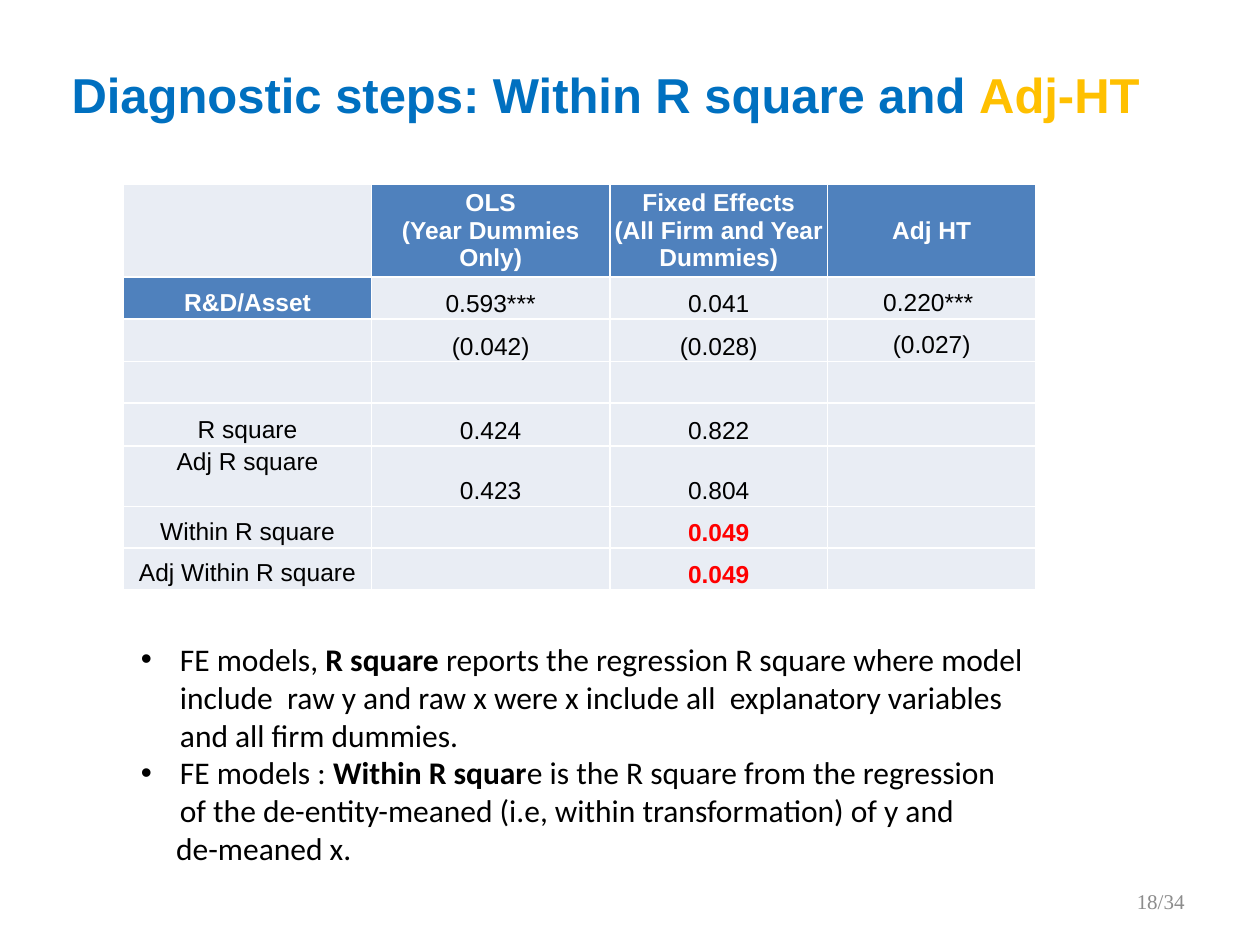
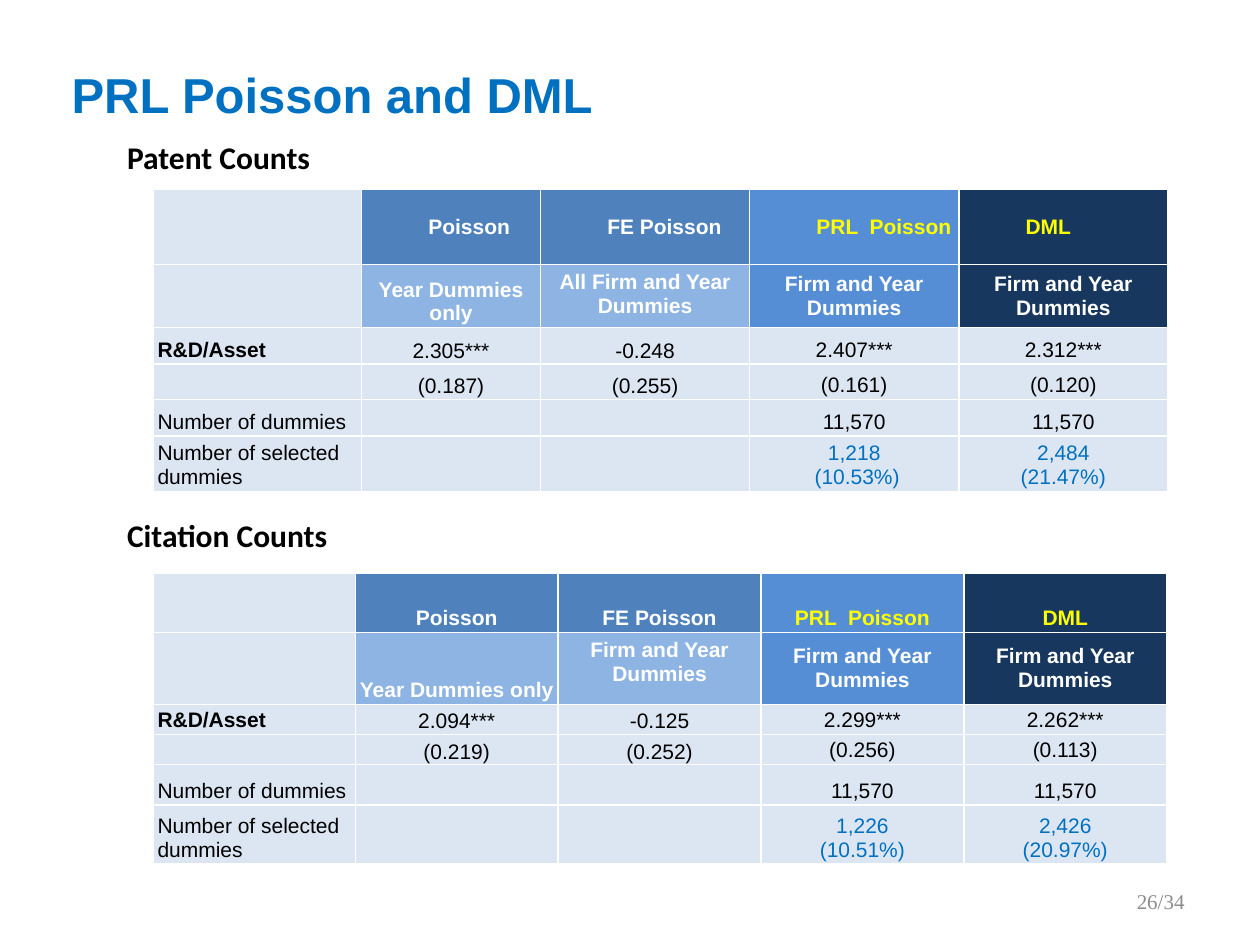
"""Build two slides of regression results with tables of R square, Poisson and DML estimates."""
from lxml.etree import SubElement
from pptx import Presentation
from pptx.dml.color import RGBColor
from pptx.enum.text import MSO_ANCHOR, PP_ALIGN
from pptx.oxml.ns import qn
from pptx.util import Inches, Pt

WHITE, BLACK, RED, YELLOW = "FFFFFF", "000000", "FF0000", "FFFF00"
BLUE, GOLD, GREY = "0070C0", "FFC000", "8C8C8C"
HEADER, SUBHEADER, PRL, DML = "4F81BD", "8EB4E3", "558ED5", "17375E"
PALE_GREY, PALE_BLUE = "E9EDF4", "DCE6F2"
TITLE = {"name": "Arial", "size": Pt(28), "bold": True, "color": BLUE}
PAGE = {"name": "Times New Roman", "size": Pt(12), "color": GREY}
BODY = {"name": "Calibri", "size": Pt(18), "bold": False, "color": BLACK}
HEADING = {**BODY, "bold": True}


def write(frame, lines, style, alignment=PP_ALIGN.LEFT):
    """Fill a text frame with lines, each a list of (text, changed formats) runs."""
    for number, runs in enumerate(lines):
        paragraph = frame.paragraphs[0] if number == 0 else frame.add_paragraph()
        paragraph.alignment = alignment
        for text, changes in runs:
            run = paragraph.add_run()
            run.text = text
            for key, value in {**style, **changes}.items():
                if key == "color":
                    run.font.color.rgb = RGBColor.from_string(value)
                else:
                    setattr(run.font, key, value)


def add_text(slide, box, lines, style, anchor=MSO_ANCHOR.TOP, alignment=PP_ALIGN.LEFT):
    """Add a wrapping text box and return its frame."""
    frame = slide.shapes.add_textbox(*map(Inches, box)).text_frame
    frame.word_wrap = True
    frame.vertical_anchor = anchor
    write(frame, lines, style, alignment)
    return frame


deck = Presentation()
deck.slide_width, deck.slide_height = Inches(10), Inches(7.5)

pages = [
    ("18/34", [("Diagnostic steps: Within R square and ", {}), ("Adj-HT", {"color": GOLD})]),
    ("26/34", [("PRL Poisson and DML", {})]),
]
slides = []
for page, title in pages:
    slide = deck.slides.add_slide(deck.slide_layouts[6])
    add_text(slide, (0.47, 0.31, 9, 0.87), [title], TITLE, MSO_ANCHOR.MIDDLE)
    add_text(slide, (7.17, 6.95, 2.33, 0.4), [[(page, {})]], PAGE,
             MSO_ANCHOR.MIDDLE, PP_ALIGN.RIGHT)
    slides.append(slide)
diagnostics, counts = slides

bold = {"bold": True}
explanation = add_text(diagnostics, (1.02, 5.03, 7.24, 2.12), [
    [("FE models, ", {}), ("R square ", bold),
     ("reports the regression R square where model include  raw y and raw x were x "
      "include all  explanatory variables and all firm dummies.", {})],
    [("FE models : ", {}), ("Within R squar", bold),
     ("e is the R square from the regression of the de-entity-meaned "
      "(i.e, within transformation) of y and", {})],
    [("de-meaned x.", {})],
], BODY)
for paragraph, indent, bullet in zip(explanation.paragraphs, (0.31, 0.31, 0.28), "•• "):
    properties = paragraph._p.get_or_add_pPr()
    properties.set("marL", str(Inches(indent)))
    if bullet == "•":
        properties.set("indent", str(-Inches(indent)))
        SubElement(properties, qn("a:buFont"), typeface="Arial")
        SubElement(properties, qn("a:buChar"), char=bullet)

for heading, top, width in (("Patent Counts", 1.05, 1.72), ("Citation Counts", 4.05, 5.11)):
    add_text(counts, (0.91, top, width, 0.4), [[(heading, {})]], HEADING)

model_fills = {(0, 1): HEADER, (0, 2): HEADER, (1, 1): SUBHEADER, (1, 2): SUBHEADER}
model_fills.update({(row, 3): PRL for row in (0, 1)})
model_fills.update({(row, 4): DML for row in (0, 1)})
model_formats = {(row, column): {"color": color} for column in (3, 4)
                 for row, color in ((0, YELLOW), (5, BLUE))}
model_formats[2, 0] = bold
model_anchors = {(1, 2): MSO_ANCHOR.TOP, (1, 3): MSO_ANCHOR.MIDDLE, (1, 4): MSO_ANCHOR.MIDDLE}
models = ["", "Poisson", "FE Poisson", "PRL  Poisson", "DML"]
firm_year = "Firm and Year Dummies"
dummies = ["Number of dummies", "", "", "11,570", "11,570"]

results = [
    {"slide": diagnostics, "top": 1.18, "left": 0.98, "size": 14, "fill": PALE_GREY,
     "widths": [1.97, 1.89, 1.73, 1.65],
     "heights": [0.28, 0.7, 0.33, 0.34, 0.33, 0.34, 0.48, 0.33, 0.33],
     "fills": {**{(0, column): WHITE for column in range(4)},
               **{(1, column): HEADER for column in (1, 2, 3)}, (2, 0): HEADER},
     "formats": {(row, 2): {"color": RED, "bold": True} for row in (7, 8)},
     "anchors": {**{(1, column): MSO_ANCHOR.MIDDLE for column in (1, 2, 3)},
                 (6, 0): MSO_ANCHOR.TOP},
     "centred_from": 0, "indented": [],
     "rows": [
         ["", "", "", ""],
         ["", "OLS\n(Year Dummies Only)", "Fixed Effects\n(All Firm and Year Dummies)", "Adj HT"],
         ["R&D/Asset", "0.593***", "0.041", "0.220*** "],
         ["", "(0.042)", "(0.028)", "(0.027)"],
         ["", "", "", ""],
         ["R square", "0.424", "0.822", ""],
         ["Adj R square", "0.423", "0.804", ""],
         ["Within R square", "", "0.049", ""],
         ["Adj Within R square", "", "0.049", ""]]},
    {"slide": counts, "top": 1.5, "left": 1.22, "size": 12, "fill": PALE_BLUE,
     "widths": [1.65, 1.42, 1.66, 1.66, 1.66],
     "heights": [0.6, 0.47, 0.29, 0.28, 0.29, 0.41],
     "fills": model_fills, "formats": model_formats,
     "anchors": {**model_anchors, **{(0, column): MSO_ANCHOR.MIDDLE for column in range(1, 5)}},
     "centred_from": 1, "indented": [(0, column) for column in range(1, 5)],
     "rows": [
         models,
         ["", "Year Dummies only", "All Firm and Year Dummies", firm_year, firm_year],
         ["R&D/Asset", "2.305***", "-0.248", "2.407***", "2.312***"],
         ["", "(0.187)", "(0.255)", "(0.161)", "(0.120)"],
         dummies,
         ["Number of selected dummies", "", "", "1,218\n (10.53%)", "2,484\n(21.47%)"]]},
    {"slide": counts, "top": 4.55, "left": 1.22, "size": 12, "fill": PALE_BLUE,
     "widths": [1.6, 1.61, 1.61, 1.61, 1.61],
     "heights": [0.47, 0.57, 0.24, 0.24, 0.32, 0.47],
     "fills": model_fills, "formats": model_formats, "anchors": model_anchors,
     "centred_from": 1, "indented": [],
     "rows": [
         models,
         ["", "Year Dummies only", firm_year, firm_year, firm_year],
         ["R&D/Asset", "2.094***", "-0.125", "2.299***", "2.262***"],
         ["", "(0.219)", "(0.252)", "(0.256)", "(0.113)"],
         dummies,
         ["Number of selected dummies", "", "", "1,226\n(10.51%)", "2,426\n(20.97%)"]]},
]

for result in results:
    rows, widths, heights = result["rows"], result["widths"], result["heights"]
    box = (result["left"], result["top"], sum(widths), sum(heights))
    grid = result["slide"].shapes.add_table(len(rows), len(widths), *map(Inches, box)).table
    grid.first_row = grid.horz_banding = False
    for column, width in zip(grid.columns, widths):
        column.width = Inches(width)
    for line, height in zip(grid.rows, heights):
        line.height = Inches(height)
    for row, texts in enumerate(rows):
        for column, text in enumerate(texts):
            place = row, column
            cell = grid.cell(row, column)
            anchor = result["anchors"].get(place, MSO_ANCHOR.BOTTOM)
            side, edge = 0.03, 0.02
            if row >= 2 and column in (1, 2):
                side, edge = 0.02, 0.01
            if place == (1, 2) and anchor == MSO_ANCHOR.TOP:
                side, edge = 0.1, 0.05
            layout = {"vertical_anchor": anchor,
                      "margin_left": Inches(side), "margin_right": Inches(side),
                      "margin_top": Inches(edge), "margin_bottom": Inches(edge)}
            for key, value in layout.items():
                setattr(cell, key, value)

            properties = cell._tc.get_or_add_tcPr()
            for border in ("lnL", "lnR", "lnT", "lnB"):
                stroke = SubElement(properties, qn(f"a:{border}"), w=str(Pt(1)))
                SubElement(SubElement(stroke, qn("a:solidFill")), qn("a:srgbClr"), val=WHITE)
            fill = result["fills"].get(place, result["fill"])
            cell.fill.solid()
            cell.fill.fore_color.rgb = RGBColor.from_string(fill)

            first = cell.text_frame.paragraphs[0]
            if not text:
                SubElement(first._p, qn("a:endParaRPr"), sz=str(result["size"] * 100))
                continue
            heading = place in result["fills"]
            style = {"name": "Arial", "size": Pt(result["size"]), "bold": heading,
                     "color": WHITE if heading else BLACK,
                     **result["formats"].get(place, {})}
            indented = place in result["indented"]
            centred = column >= result["centred_from"] and not indented
            write(cell.text_frame, [[(part, {})] for part in text.split("\n")], style,
                  PP_ALIGN.CENTER if centred else PP_ALIGN.LEFT)
            if indented:
                first._p.get_or_add_pPr().set("marL", str(Inches(0.5)))
    if result["slide"] is diagnostics:
        grid.cell(0, 0).merge(grid.cell(0, 2))

deck.save("out.pptx")
